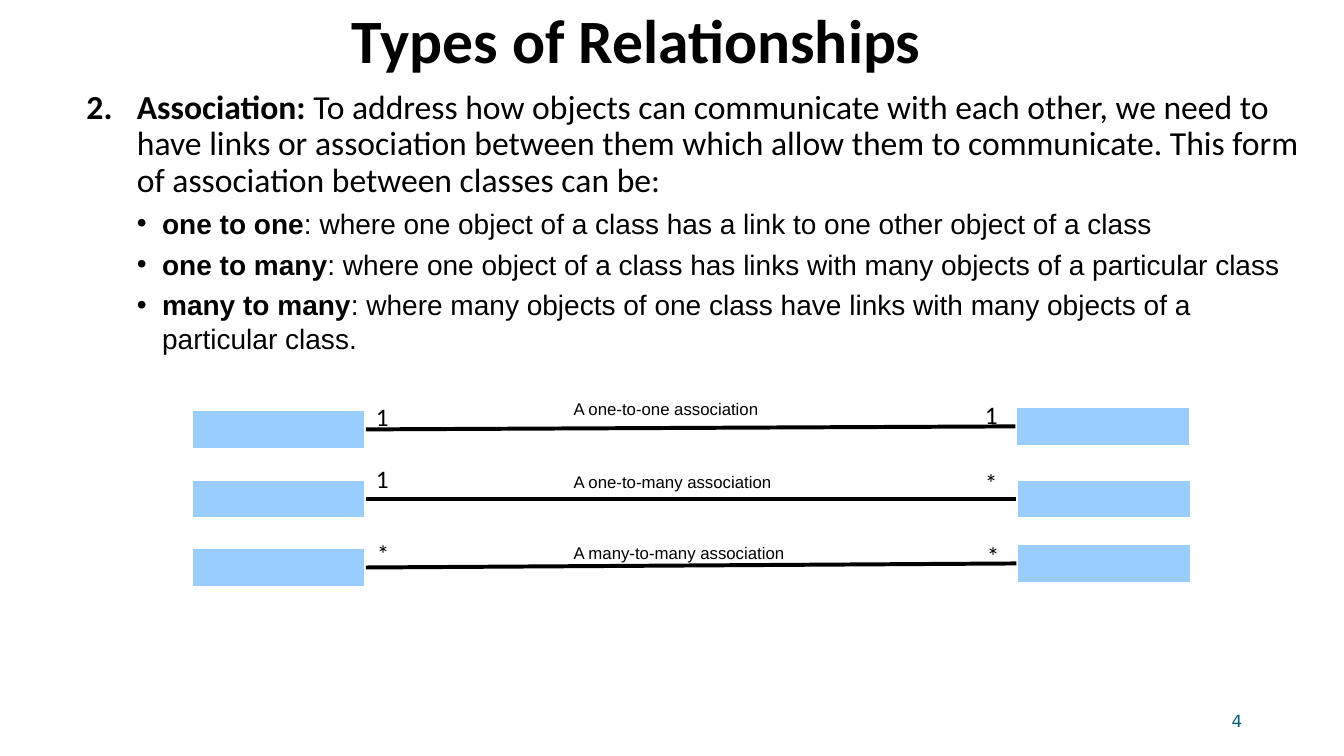
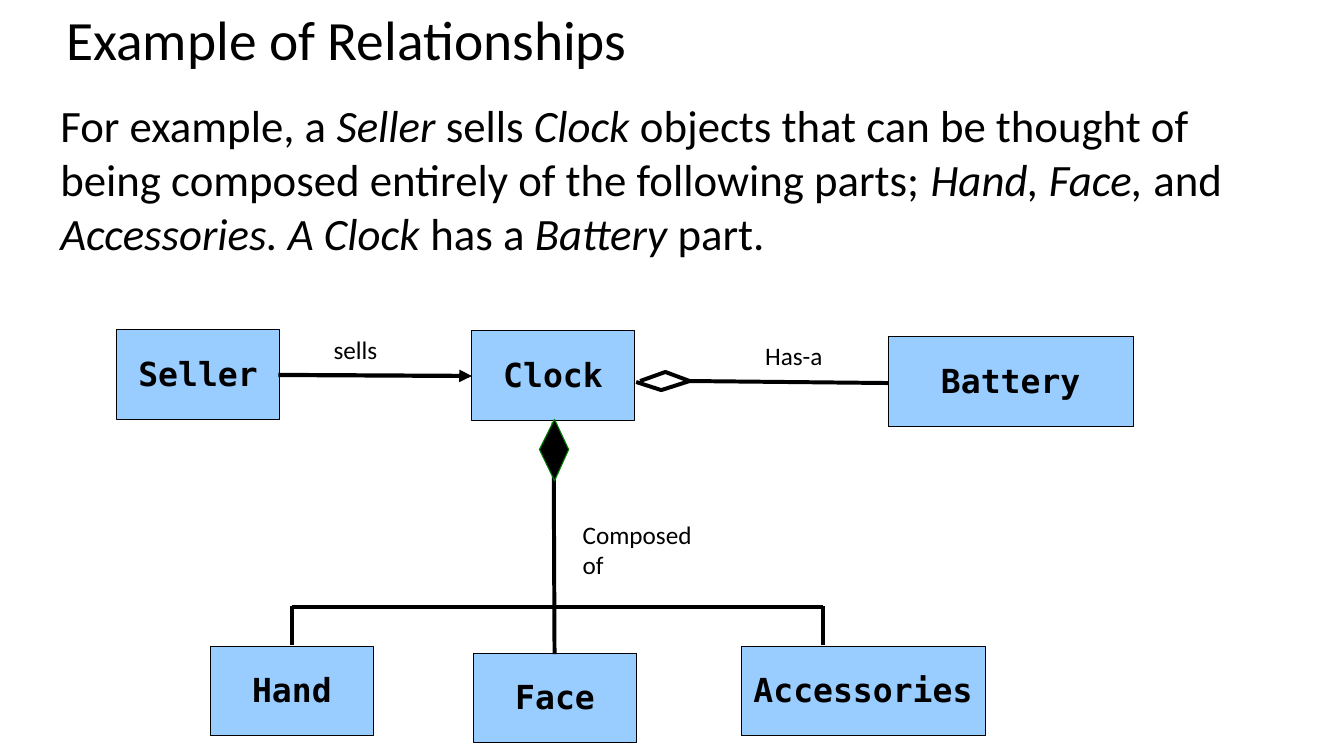
import pptx
import pptx.dml.color
import pptx.enum.shapes
import pptx.enum.text
import pptx.oxml
import pptx.oxml.ns
import pptx.util
from pptx.util import Inches

RGBColor = pptx.dml.color.RGBColor
BLACK = RGBColor(0x00, 0x00, 0x00)
WHITE = RGBColor(0xFF, 0xFF, 0xFF)
BOX_BLUE = RGBColor(0x99, 0xCC, 0xFF)
DIAMOND_GREEN = RGBColor(0x00, 0x80, 0x00)
NUMBER_TEAL = RGBColor(0x04, 0x5C, 0x75)

CENTER = pptx.enum.text.PP_ALIGN.CENTER
RIGHT = pptx.enum.text.PP_ALIGN.RIGHT
TOP = pptx.enum.text.MSO_ANCHOR.TOP
MIDDLE = pptx.enum.text.MSO_ANCHOR.MIDDLE

LINE_WIDTH = 2.83


def font_style(size, name="Calibri", **extra):
    return {"size": pptx.util.Pt(size), "name": name, **extra}


TITLE = font_style(44, bold=True)
PLAIN_TITLE = font_style(39.6)
DEFINITION = font_style(24)
KIND = font_style(20, "Arial")
EXAMPLE = font_style(32)
LABEL = font_style(18)
CAPTION = font_style(12, "Arial")
PAGE_NUMBER = font_style(12, "DejaVu Sans")
CLASS_NAME = font_style(23.6, "DejaVu Sans Mono", bold=True)


def add_runs(paragraph, runs, style, color=BLACK, **layout):
    """Fill a paragraph from (text, style changes) pairs."""
    for name, value in layout.items():
        setattr(paragraph, name, value)
    for text, changes in runs:
        run = paragraph.add_run()
        run.text = text
        run.font.color.rgb = color
        for name, value in {**style, **changes}.items():
            setattr(run.font, name, value)


def add_text_frame(slide, left, top, width, height, anchor=TOP):
    box = slide.shapes.add_textbox(*map(Inches, (left, top, width, height)))
    box.text_frame.word_wrap = True
    box.text_frame.vertical_anchor = anchor
    return box.text_frame


def add_text(slide, place, text, style, anchor=TOP, **layout):
    frame = add_text_frame(slide, *place, anchor=anchor)
    add_runs(frame.paragraphs[0], [(text, {})], style, **layout)


def set_indent(paragraph, left, hanging=0, marker=None):
    """Set the indents, and the bullet or number given as an XML element."""
    properties = paragraph._p.get_or_add_pPr()
    properties.set("marL", str(Inches(left)))
    properties.set("indent", str(-Inches(hanging)))
    if marker:
        namespace = pptx.oxml.ns.nsdecls("a")
        if marker.startswith("buChar"):
            font = f'<a:buFont {namespace} typeface="Arial"/>'
            properties.append(pptx.oxml.parse_xml(font))
        properties.append(pptx.oxml.parse_xml(f"<a:{marker} {namespace}/>"))


def paint(shape, fill, line, width):
    shape.shadow.inherit = False
    if fill is None:
        shape.fill.background()
    else:
        shape.fill.solid()
        shape.fill.fore_color.rgb = fill
    shape.line.color.rgb = line
    shape.line.width = pptx.util.Pt(width)


def add_box(slide, left, top, width, height, line, line_width):
    shape = slide.shapes.add_shape(
        pptx.enum.shapes.MSO_SHAPE.ROUNDED_RECTANGLE,
        *map(Inches, (left, top, width, height)))
    shape.adjustments[0] = 0
    paint(shape, BOX_BLUE, line, line_width)
    return shape


def add_class(slide, name, left, top, width=1.61):
    frame = add_box(slide, left, top, width, 0.89, BLACK, 0.75).text_frame
    margins = {"margin_left": 0.09, "margin_right": 0.09,
               "margin_top": 0.04, "margin_bottom": 0.04}
    for side, margin in margins.items():
        setattr(frame, side, Inches(margin))
    frame.word_wrap = False
    frame.vertical_anchor = MIDDLE
    add_runs(frame.paragraphs[0], [(name, {})], CLASS_NAME,
             alignment=CENTER, line_spacing=0.97)


def add_line(slide, start, end, width=LINE_WIDTH, arrow=False):
    connector = slide.shapes.add_connector(
        pptx.enum.shapes.MSO_CONNECTOR.STRAIGHT,
        *map(Inches, (*start, *end)))
    connector.line.color.rgb = BLACK
    connector.line.width = pptx.util.Pt(width)
    namespace = pptx.oxml.ns.nsdecls("a")
    if arrow:
        connector.line._get_or_add_ln().append(pptx.oxml.parse_xml(
            f'<a:tailEnd {namespace} type="triangle"/>'))
    connector._element.spPr.append(
        pptx.oxml.parse_xml(f"<a:effectLst {namespace}/>"))


def add_diamond(slide, points, fill, line, width):
    corners = [tuple(map(Inches, point)) for point in points]
    builder = slide.shapes.build_freeform(*corners[0])
    builder.add_line_segments(corners[1:], close=False)
    paint(builder.convert_to_shape(), fill, line, width)


def add_association(slide, caption, caption_top, left_end, right_end):
    """Draw two boxes, their link and labels; ends are (box left, box top, sign, sign left, sign top)."""
    width, height = 1.74, 0.4
    for left, top, sign, sign_left, sign_top in (left_end, right_end):
        add_box(slide, left, top, width, height, WHITE, LINE_WIDTH)
        add_text(slide, (sign_left, sign_top, 0.71, 0.4), sign, LABEL)
    add_line(slide, (left_end[0] + width, left_end[1] + height / 2),
             (right_end[0], right_end[1] + height / 2))
    add_text(slide, (5.59, caption_top, 3.19, 0.3), caption, CAPTION,
             line_spacing=1.04)


def build_types_slide(slide):
    frame = add_text_frame(slide, 0.26, 0.85, 12.8, 6.5)
    bold = {"bold": True}
    spacing = {"space_before": pptx.util.Pt(5)}
    definition = frame.paragraphs[0]
    add_runs(definition, [
        ("Association:", bold),
        (" To address how objects can communicate with each other, we need to "
         "have links or association between them which allow them to "
         "communicate. This form of association between classes can be:", {}),
    ], DEFINITION, line_spacing=0.9, **spacing)
    set_indent(definition, 1, 0.5, 'buAutoNum type="arabicPeriod" startAt="2"')

    kinds = {
        "one to one": "where one object of a class has a link to one other "
                      "object of a class",
        "one to many": "where one object of a class has links with many "
                       "objects of a particular class",
        "many to many": "where many objects of one class have links with many "
                        "objects of a particular class.",
    }
    for kind, meaning in kinds.items():
        paragraph = frame.add_paragraph()
        paragraph.level = 1
        add_runs(paragraph, [(kind, bold), (f": {meaning}", {})], KIND, **spacing)
        set_indent(paragraph, 1.25, 0.25, 'buChar char="•"')

    add_text(slide, (9.42, 6.95, 3, 0.4), "4", PAGE_NUMBER, MIDDLE,
             color=NUMBER_TEAL, alignment=RIGHT)
    add_text(slide, (1.19, 0.02, 10.25, 0.83), "Types of Relationships", TITLE,
             MIDDLE, alignment=CENTER, line_spacing=0.9)

    associations = [
        ("A one-to-one association", 3.9,
         (1.89, 4.06, "1", 3.63, 3.93), (10.07, 4.03, "1", 9.67, 3.91)),
        ("A one-to-many association", 4.62,
         (1.89, 4.75, "1", 3.63, 4.55), (10.08, 4.75, "*", 9.67, 4.59)),
        ("A many-to-many association", 5.33,
         (1.89, 5.43, "*", 3.64, 5.29), (10.08, 5.39, "*", 9.69, 5.31)),
    ]
    for association in associations:
        add_association(slide, *association)


def build_example_slide(slide):
    add_text(slide, (0.56, 0.06, 12.25, 0.72), "Example of Relationships",
             PLAIN_TITLE, MIDDLE, line_spacing=0.9)

    italic = {"italic": True}
    example = add_text_frame(slide, 0, 0.92, 12.81, 1.72).paragraphs[0]
    add_runs(example, [
        ("For example, a ", {}), ("Seller", italic), (" sells ", {}),
        ("Clock", italic),
        (" objects that can be thought of being composed entirely of the "
         "following parts; ", {}),
        ("Hand, Face, ", italic), ("and", {}),
        (" Accessories. A Clock ", italic), ("has a ", {}),
        ("Battery", italic), (" part.", {}),
    ], EXAMPLE)
    set_indent(example, 0.5)

    classes = [
        ("Seller", 1.16, 3.27), ("Clock", 4.68, 3.28),
        ("Battery", 8.81, 3.34, 2.43), ("Hand", 2.09, 6.41),
        ("Face", 4.7, 6.48), ("Accessories", 7.35, 6.41, 2.42),
    ]
    for entry in classes:
        add_class(slide, *entry)

    add_line(slide, (2.76, 3.72), (4.68, 3.73), width=3, arrow=True)
    lines = [
        ((6.84, 3.78), (8.81, 3.8)),
        ((5.5, 6.49), (5.49, 4.19)),
        ((2.9, 6.02), (8.16, 6.02)),
        ((2.9, 6.4), (2.9, 6.01)),
        ((8.16, 6.4), (8.16, 6.01)),
    ]
    for start, end in lines:
        add_line(slide, start, end)

    add_diamond(slide, [(6.35, 3.78), (6.6, 3.69), (6.84, 3.78), (6.56, 3.87),
                        (6.31, 3.79)], None, BLACK, LINE_WIDTH)
    add_diamond(slide, [(5.5, 4.16), (5.64, 4.46), (5.5, 4.77), (5.35, 4.46),
                        (5.5, 4.16)], BLACK, DIAMOND_GREEN, 0.75)

    labels = [("sells", 3.21, 3.27, 0.4), ("Has-a", 7.49, 3.33, 0.4),
              ("Composed of", 5.68, 5.1, 0.71)]
    for text, left, top, height in labels:
        add_text(slide, (left, top, 1.31, height), text, LABEL)


def main():
    presentation = pptx.Presentation()
    presentation.slide_width = Inches(13.33)
    presentation.slide_height = Inches(7.5)
    blank = presentation.slide_layouts[6]
    for build in (build_types_slide, build_example_slide):
        build(presentation.slides.add_slide(blank))
    presentation.save("out.pptx")


if __name__ == "__main__":
    main()
